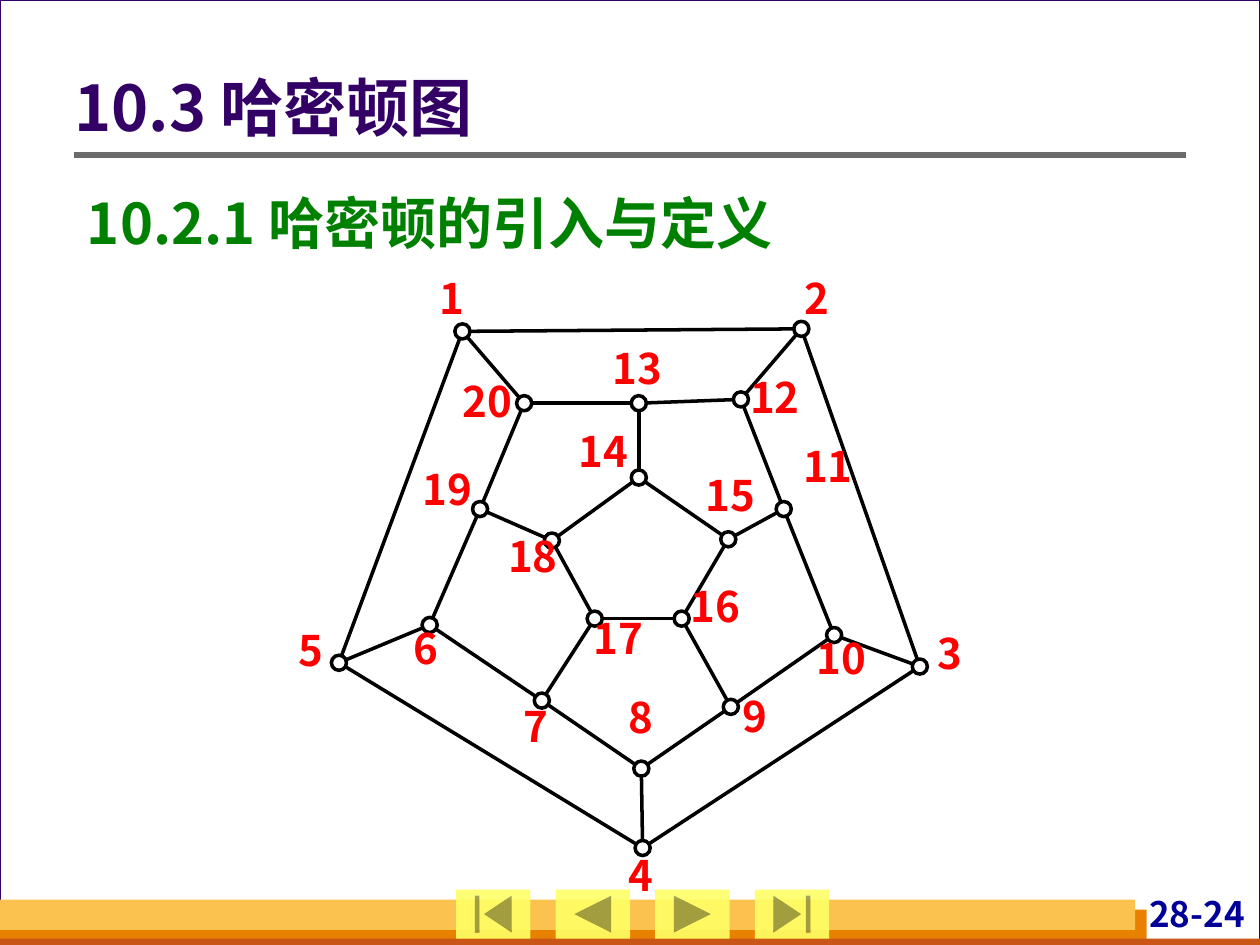
from lxml import etree
from pptx import Presentation
from pptx.dml.color import RGBColor
from pptx.enum.shapes import MSO_CONNECTOR, MSO_SHAPE
from pptx.enum.text import MSO_ANCHOR, PP_ALIGN
from pptx.oxml.ns import qn
from pptx.util import Inches, Pt

RECTANGLE, OVAL = MSO_SHAPE.RECTANGLE, MSO_SHAPE.OVAL
STRAIGHT = MSO_CONNECTOR.STRAIGHT
MIDDLE, TOP = MSO_ANCHOR.MIDDLE, MSO_ANCHOR.TOP
LEFT, CENTER, RIGHT, JUSTIFY = PP_ALIGN.LEFT, PP_ALIGN.CENTER, PP_ALIGN.RIGHT, PP_ALIGN.JUSTIFY
BUTTONS = (
    MSO_SHAPE.ACTION_BUTTON_BEGINNING,
    MSO_SHAPE.ACTION_BUTTON_BACK_OR_PREVIOUS,
    MSO_SHAPE.ACTION_BUTTON_FORWARD_OR_NEXT,
    MSO_SHAPE.ACTION_BUTTON_END,
)

FONT = "Noto Sans CJK SC"
COLORS = {
    "background": "D8DADA", "white": "FFFFFF", "title": "330066", "subtitle": "008000",
    "orange": "E88000", "rust": "C95616", "gold": "FCC24F", "rule": "6B6B6B",
    "number": "000099", "button": "FFFF66", "edge": "000000", "label": "FF0000",
}

VERTICES = {
    1: (1.32, 0.47), 2: (4.01, 0.45), 3: (4.95, 3.13), 4: (2.75, 4.57), 5: (0.34, 3.1),
    6: (1.06, 2.8), 7: (1.95, 3.4), 8: (2.74, 3.94), 9: (3.45, 3.45), 10: (4.27, 2.88),
    11: (3.87, 1.88), 12: (3.53, 1.01), 13: (2.72, 1.04), 14: (2.72, 1.63), 15: (3.43, 2.12),
    16: (3.06, 2.75), 17: (2.37, 2.75), 18: (2.03, 2.13), 19: (1.46, 1.88), 20: (1.81, 1.04),
}
LABELS = {
    1: (1.24, 0), 2: (4.13, 0), 3: (5.19, 2.82), 4: (2.74, 4.58), 5: (0.12, 2.8),
    6: (1.03, 2.78), 7: (1.9, 3.4), 8: (2.74, 3.33), 9: (3.64, 3.32), 10: (4.33, 2.86),
    11: (4.22, 1.34), 12: (3.8, 0.79), 13: (2.71, 0.56), 14: (2.44, 1.22), 15: (3.45, 1.57),
    16: (3.33, 2.45), 17: (2.56, 2.7), 18: (1.88, 2.05), 19: (1.2, 1.52), 20: (1.52, 0.82),
}
CYCLES = (
    (1, 2, 3, 4, 5),
    (6, 7, 8, 9, 10, 11, 12, 13, 20, 19),
    (14, 15, 16, 17, 18),
)
SPOKES = (
    (1, 20), (2, 12), (3, 10), (4, 8), (5, 6),
    (7, 17), (9, 16), (11, 15), (13, 14), (18, 19),
)


def color(name):
    """Return the named colour."""
    return RGBColor.from_string(COLORS[name])


def add_filled(shapes, kind, box, fill, line=None, width=0.75):
    """Add a filled preset shape, outlined only if a line colour is named."""
    shape = shapes.add_shape(kind, *map(Inches, box))
    shape.shadow.inherit = False
    shape.fill.solid()
    shape.fill.fore_color.rgb = color(fill)
    if line:
        shape.line.color.rgb = color(line)
        shape.line.width = Pt(width)
    else:
        shape.line.fill.background()
    return shape


def add_line(shapes, start, end, name, width):
    """Add a straight line without a shadow."""
    line = shapes.add_connector(STRAIGHT, *map(Inches, (*start, *end)))
    line.line.color.rgb = color(name)
    line.line.width = Pt(width)
    etree.SubElement(line.element.spPr, qn("a:effectLst"))


def write(shape, text, size, name, alignment, margins, anchor=TOP):
    """Put one bold paragraph in a shape and return the paragraph."""
    frame = shape.text_frame
    frame.text = text
    frame.vertical_anchor = anchor
    frame.margin_left, frame.margin_top, frame.margin_right, frame.margin_bottom = map(Inches, margins)
    paragraph = frame.paragraphs[0]
    paragraph.alignment = alignment
    paragraph.space_before = Pt(0)
    run = paragraph.runs[0]
    run.font.size = Pt(size)
    run.font.bold = True
    run.font.color.rgb = color(name)
    run.font.name = FONT
    etree.SubElement(run._r.get_or_add_rPr(), qn("a:ea"), typeface=FONT)
    return paragraph


def add_backdrop(slide, width, height):
    """Draw the page frame, footer bands, title rule and page number."""
    shapes = slide.shapes
    slide.background.fill.solid()
    slide.background.fill.fore_color.rgb = color("background")
    add_filled(shapes, RECTANGLE, (0, 0, width, height), "white", "title")
    add_filled(shapes, RECTANGLE, (0, height - 0.28, 9.1, 0.28), "orange")
    add_filled(shapes, RECTANGLE, (0, height - 0.05, width, 0.08), "rust")
    add_filled(shapes, RECTANGLE, (0, height - 0.36, 9.01, 0.24), "gold")
    number = shapes.add_textbox(*map(Inches, (width - 1.3, height - 0.42, 1.22, 0.38)))
    number.text_frame.word_wrap = True
    write(number, "28-24", 20, "number", RIGHT, (0.04, 0, 0.04, 0))
    add_line(shapes, (0.59, 1.23), (width - 0.59, 1.23), "rule", 3)


def add_navigation(slide, left, top, width, height, step):
    """Draw the row of translucent navigation buttons."""
    for index, kind in enumerate(BUTTONS):
        button = add_filled(slide.shapes, kind, (left + index * step, top, width, height), "button")
        tint = button.element.spPr.find(qn("a:solidFill"))[0]
        etree.SubElement(tint, qn("a:alpha"), val="90000")


def add_headings(slide, left, width):
    """Fill the title and body placeholders and lift them above the backdrop."""
    title, body = slide.shapes.title, slide.placeholders[1]
    for placeholder, top, height in ((title, 0.38, 1.01), (body, 1.34, 0.74)):
        placeholder.left, placeholder.top = Inches(left), Inches(top)
        placeholder.width, placeholder.height = Inches(width), Inches(height)
        slide.shapes.element.append(placeholder.element)
    heading = write(title, "10.3 哈密顿图", 36, "title", LEFT, (0, 0.05, 0.1, 0.05), MIDDLE)
    heading.line_spacing = 0.9
    subheading = write(body, "10.2.1 哈密顿的引入与定义", 32, "subtitle", JUSTIFY, (0.1, 0.05, 0.1, 0.05))
    subheading.line_spacing = 1.2
    properties = subheading._p.get_or_add_pPr()
    properties.set("marL", "0")
    properties.set("indent", "0")
    etree.SubElement(properties, qn("a:buNone"))


def add_graph(slide, left, top):
    """Draw the dodecahedron graph with its numbered vertices."""
    shapes = slide.shapes.add_group_shape().shapes
    centers = {number: (left + x, top + y) for number, (x, y) in VERTICES.items()}
    edges = [pair for cycle in CYCLES for pair in zip(cycle, cycle[1:] + cycle[:1])]
    for start, end in (*edges, *SPOKES):
        add_line(shapes, centers[start], centers[end], "edge", 2)
    diameter = 0.12
    for x, y in centers.values():
        box = (x - diameter / 2, y - diameter / 2, diameter, diameter)
        add_filled(shapes, OVAL, box, "white", "edge", 2)
    for number, (x, y) in LABELS.items():
        width = 0.24 * len(str(number))
        label = shapes.add_textbox(*map(Inches, (left + x - width / 2, top + y, width, 0.4)))
        write(label, str(number), 24, "label", CENTER, (0, 0, 0, 0))


def main():
    """Build the slide and save it."""
    presentation = Presentation()
    presentation.slide_width, presentation.slide_height = Inches(10), Inches(7.5)
    slide = presentation.slides.add_slide(presentation.slide_layouts[1])
    add_backdrop(slide, 10, 7.5)
    add_navigation(slide, 3.62, 7.06, 0.59, 0.39, 0.79)
    add_headings(slide, 0.59, 8.82)
    add_graph(slide, 2.35, 2.16)
    presentation.save("out.pptx")


if __name__ == "__main__":
    main()
